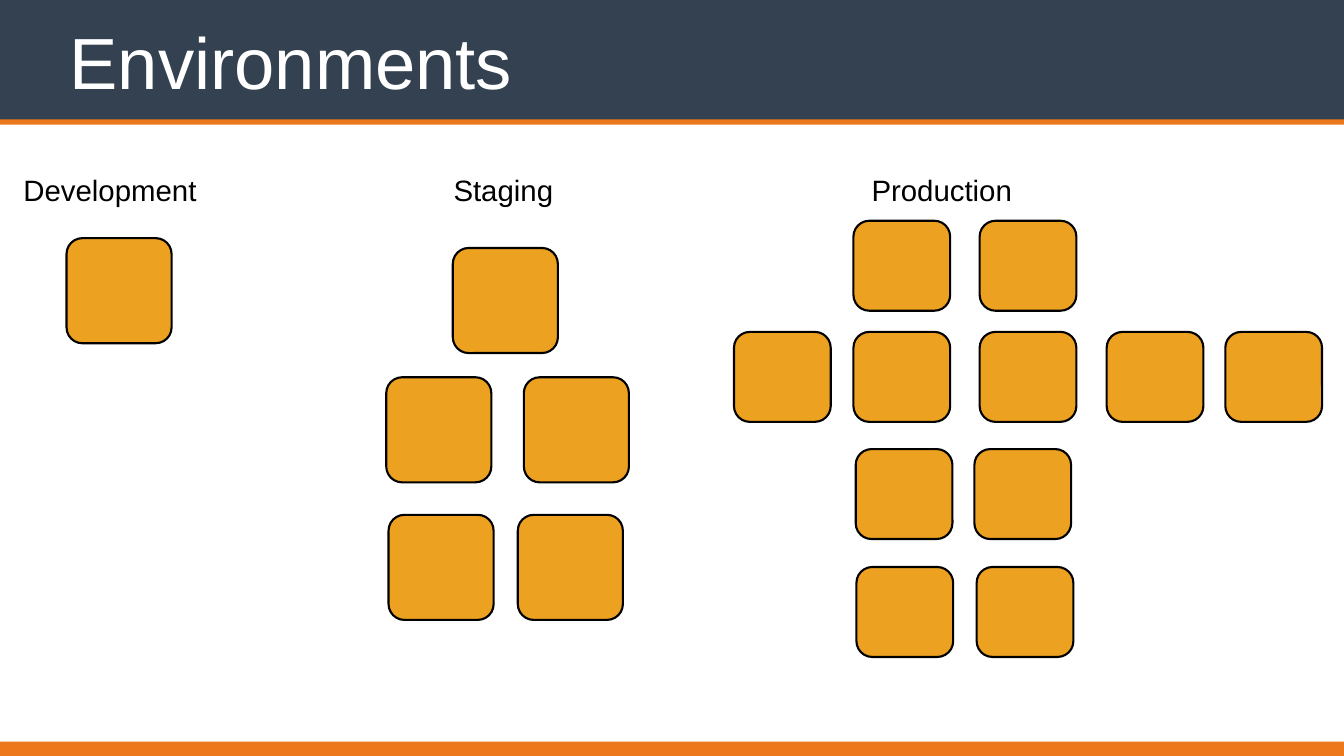
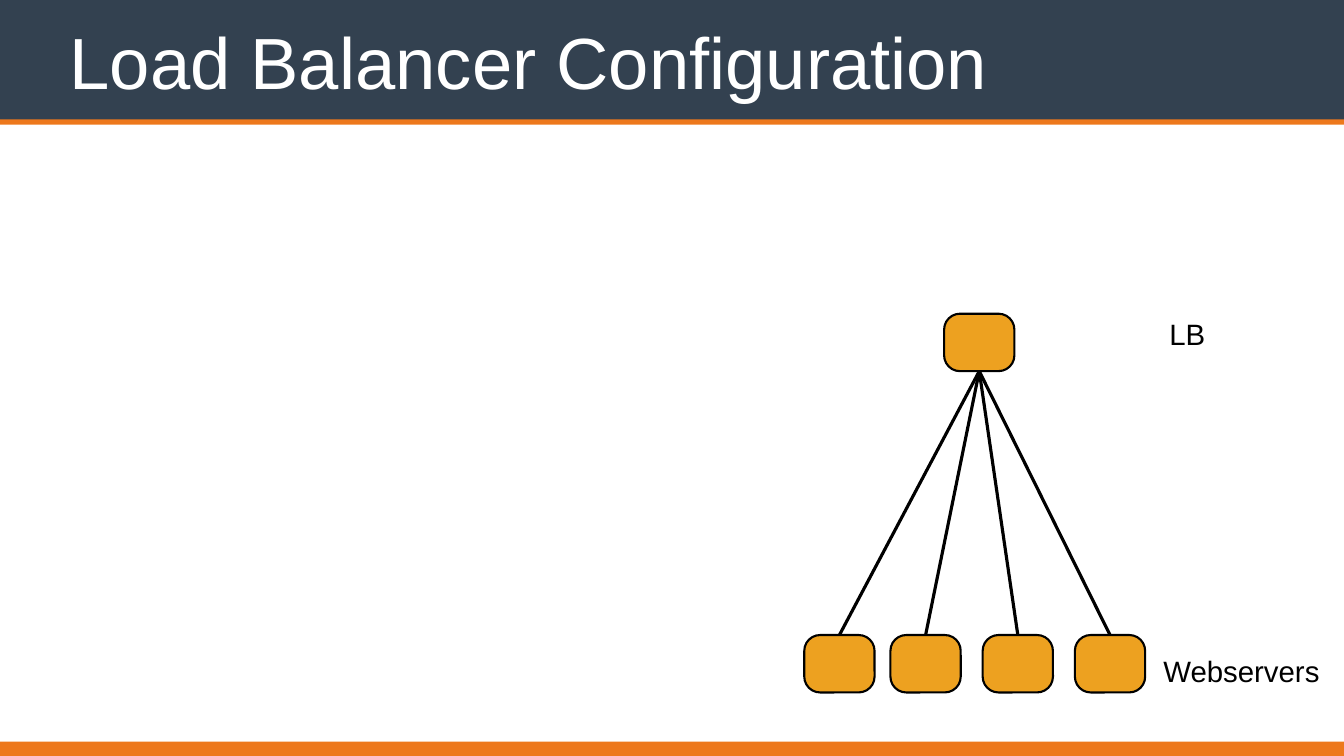
from dataclasses import dataclass

from lxml import etree
from pptx import Presentation
from pptx.dml.color import RGBColor
from pptx.enum.shapes import MSO_CONNECTOR, MSO_SHAPE
from pptx.enum.text import MSO_ANCHOR
from pptx.oxml import parse_xml
from pptx.oxml.ns import nsdecls, qn
from pptx.util import Inches, Pt


@dataclass(frozen=True)
class Theme:
    navy: RGBColor = RGBColor.from_string("334150")
    orange: RGBColor = RGBColor.from_string("ED781C")
    amber: RGBColor = RGBColor.from_string("EDA120")
    black: RGBColor = RGBColor.from_string("000000")
    white: RGBColor = RGBColor.from_string("FFFFFF")
    font: str = "Arial"
    title_size: int = 69
    label_size: int = 28
    outline: int = 2
    link: int = 3
    corner: float = 0.21  # corner radius of every node, in inches


T = Theme()
WIDTH, HEIGHT = 17.78, 10

TITLE_SHADOW = (
    f'<a:effectLst {nsdecls("a")}><a:outerShdw blurRad="38100" dist="38100" '
    'dir="2700000"><a:srgbClr val="000000"><a:alpha val="80000"/></a:srgbClr>'
    '</a:outerShdw></a:effectLst>'
)


def add_text(slide, text, x, y, w, h, size=T.label_size, color=T.black,
             anchor=MSO_ANCHOR.MIDDLE, inset=0, wrap=True, shadow=False):
    box = slide.shapes.add_textbox(Inches(x), Inches(y), Inches(w), Inches(h))
    tf = box.text_frame
    tf.word_wrap = wrap
    tf.vertical_anchor = anchor
    tf.margin_left = tf.margin_right = Inches(inset)
    tf.margin_top = tf.margin_bottom = Inches(inset)
    r = tf.paragraphs[0].add_run()
    r.text = text
    r.font.size = Pt(size)
    r.font.color.rgb = color
    if shadow:
        r.font.fill._xPr.append(parse_xml(TITLE_SHADOW))
    r.font.name = T.font
    return box


def add_band(slide, y, h, color):
    sp = slide.shapes.add_shape(MSO_SHAPE.RECTANGLE, 0, Inches(y),
                                Inches(WIDTH), Inches(h))
    sp.shadow.inherit = False
    sp.fill.solid()
    sp.fill.fore_color.rgb = color
    sp.line.fill.background()


def add_node(slide, x, y, w, h):
    sp = slide.shapes.add_shape(MSO_SHAPE.ROUNDED_RECTANGLE, Inches(x),
                                Inches(y), Inches(w), Inches(h))
    sp.adjustments[0] = T.corner / min(w, h)
    sp.shadow.inherit = False
    sp.fill.solid()
    sp.fill.fore_color.rgb = T.amber
    sp.line.color.rgb = T.black
    sp.line.width = Pt(T.outline)
    return sp


def link_down(slide, upper, lower):
    line = slide.shapes.add_connector(MSO_CONNECTOR.STRAIGHT, 0, 0, 0, 0)
    line.begin_connect(upper, 2)
    line.end_connect(lower, 0)
    line.line.color.rgb = T.black
    line.line.width = Pt(T.link)
    etree.SubElement(line._element.spPr, qn("a:effectLst"))


def titled_slide(prs, title):
    slide = prs.slides.add_slide(prs.slide_layouts[6])
    add_band(slide, -0.14, 1.78, T.navy)
    add_band(slide, 1.58, 0.07, T.orange)
    add_band(slide, 9.81, 0.25, T.orange)
    add_text(slide, title, 0.88, 0.19, 16.03, 1.22, size=T.title_size,
             color=T.white, anchor=MSO_ANCHOR.BOTTOM, inset=0.04, shadow=True)
    return slide


def environment(slide, x, y, name, label, node, rows, wrap=False):
    """label is (dx, width, height), node (width, height), rows (dy, [dx...])."""
    dx, w, h = label
    add_text(slide, name, x + dx, y, w, h, wrap=wrap)
    for dy, columns in rows:
        for dx in columns:
            add_node(slide, x + dx, y + dy, *node)


def load_balancer(slide, x, y):
    node_w, node_h = 0.93, 0.76
    # Web servers
    servers = [add_node(slide, x + dx, y + 4.25, node_w, node_h)
               for dx in (0, 1.14, 2.36, 3.58)]
    add_text(slide, "Webservers", x + 4.75, y + 4.44, 2.18, 0.57)
    # Balancer and its links
    balancer = add_node(slide, x + 1.85, y, node_w, node_h)
    add_text(slide, "LB", x + 4.83, y - 0.07, 1.94, 0.67)
    for server in servers:
        link_down(slide, balancer, server)


def environments_slide(prs):
    slide = titled_slide(prs, "Environments")
    large, small = (1.39, 1.39), (1.28, 1.19)
    environment(slide, 0.31, 2.27, "Development", (0, 2.31, 0.47), large,
                [(0.88, [0.57])])
    environment(slide, 5.11, 2.27, "Staging", (0.89, 1.33, 0.47), large,
                [(1.01, [0.88]), (2.72, [0, 1.82]), (4.54, [0.03, 1.74])])
    environment(slide, 9.71, 2.22, "Production", (1.82, 2.4, 0.58), small,
                [(0.7, [1.58, 3.25]),
                 (2.17, [0, 1.58, 3.25, 4.93, 6.5]),
                 (3.72, [1.61, 3.18]),
                 (5.28, [1.62, 3.21])], wrap=True)


def load_balancer_slide(prs):
    slide = titled_slide(prs, "Load Balancer Configuration")
    load_balancer(slide, 10.64, 4.15)


def main():
    prs = Presentation()
    prs.slide_width, prs.slide_height = Inches(WIDTH), Inches(HEIGHT)
    environments_slide(prs)
    load_balancer_slide(prs)
    prs.save("out.pptx")


if __name__ == "__main__":
    main()
